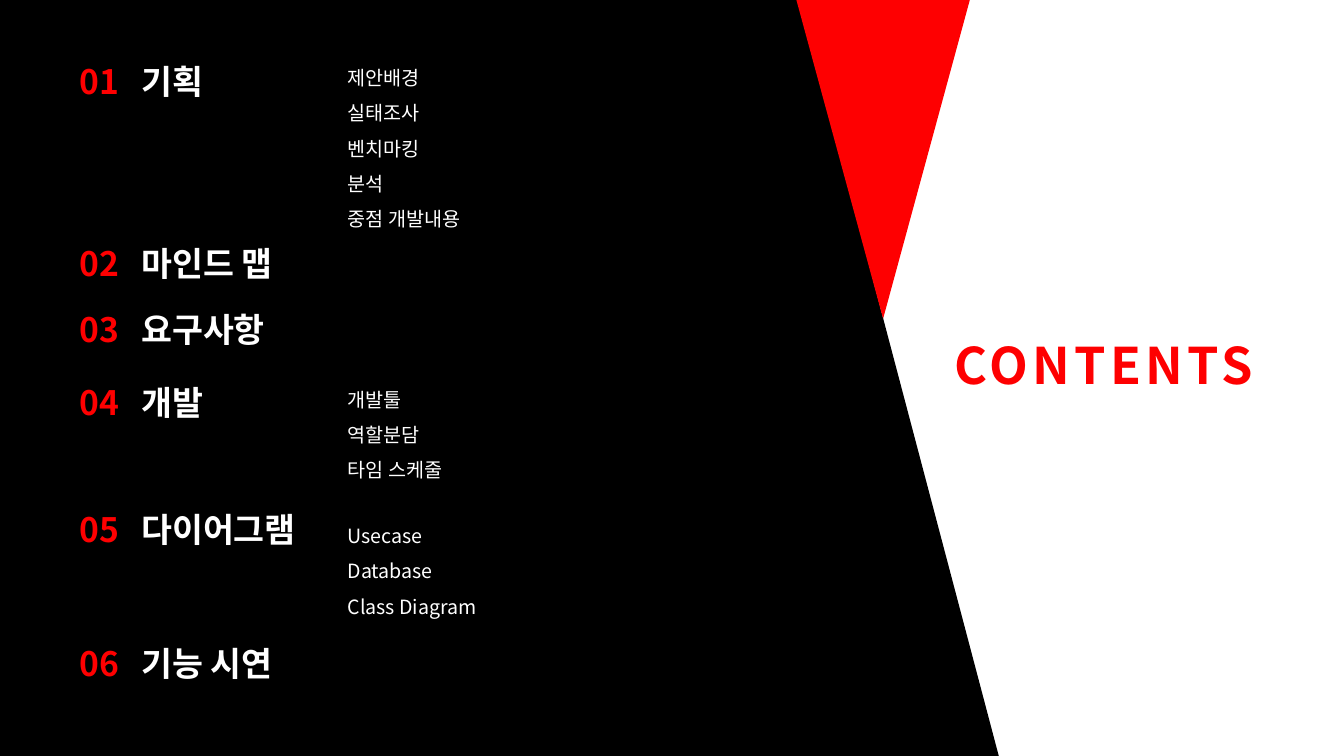
from dataclasses import dataclass
from typing import Any

from lxml.etree import SubElement
from pptx import Presentation
from pptx.dml.color import RGBColor
from pptx.enum.shapes import MSO_SHAPE
from pptx.enum.text import MSO_ANCHOR, MSO_AUTO_SIZE, PP_ALIGN
from pptx.oxml.ns import qn
from pptx.util import Cm, Pt


@dataclass(frozen=True)
class Theme:
    font: str = "Noto Sans CJK KR"
    black: RGBColor = RGBColor(0, 0, 0)
    white: RGBColor = RGBColor(255, 255, 255)
    red: RGBColor = RGBColor(0xFE, 0, 0x01)
    title_size: int = 36
    chapter_size: int = 24
    topic_size: int = 14


@dataclass(frozen=True)
class Chapter:
    name: str
    top: float
    width: float = 9.7


@dataclass(frozen=True)
class TopicList:
    topics: tuple[str, ...]
    top: float
    width: float


THEME = Theme()
SLIDE_WIDTH, SLIDE_HEIGHT = 33.87, 19.05
PANEL_WIDTH = 25.17
CHAPTER_LEFT, TOPIC_LEFT = 1.75, 8.51
NAME_TAB = 1.56

CHAPTERS = (
    Chapter("기획", 1.4),
    Chapter("마인드 맵", 6.0),
    Chapter("요구사항", 7.65),
    Chapter("개발", 9.5),
    Chapter("다이어그램", 12.7, 6.15),
    Chapter("기능 시연", 16.08, 6.15),
)
TOPIC_LISTS = (
    TopicList(("제안배경", "실태조사", "벤치마킹", "분석", "중점 개발내용"), 1.24, 8.08),
    TopicList(("개발툴", "역할분담", "타임 스케줄"), 9.35, 6.48),
    TopicList(("Usecase", "Database", "Class Diagram"), 12.78, 4.85),
)


def apply_format(target: Any, values: dict[str, Any]) -> None:
    for attribute, value in values.items():
        setattr(target, attribute, value)


def place(shape: Any, left: float, top: float, width: float, height: float) -> None:
    apply_format(shape, {"left": Cm(left), "top": Cm(top), "width": Cm(width), "height": Cm(height)})


def format_frame(frame: Any) -> None:
    apply_format(frame, {
        "word_wrap": True,
        "auto_size": MSO_AUTO_SIZE.SHAPE_TO_FIT_TEXT,
        "vertical_anchor": MSO_ANCHOR.TOP,
    })


def add_run(paragraph: Any, text: str, size: int, color: RGBColor, bold: bool = False) -> Any:
    run = paragraph.add_run()
    run.text = text
    apply_format(run.font, {"size": Pt(size), "bold": bold, "name": THEME.font})
    run.font.color.rgb = color
    properties = run._r.get_or_add_rPr()
    SubElement(properties, qn("a:ea"), typeface=THEME.font)
    return properties


def add_text_frame(slide: Any, left: float, top: float, width: float, height: float) -> Any:
    frame = slide.shapes.add_textbox(Cm(left), Cm(top), Cm(width), Cm(height)).text_frame
    format_frame(frame)
    return frame


def add_panel(slide: Any, kind: MSO_SHAPE, left: float, top: float, width: float,
              height: float, rotation: int, color: RGBColor) -> None:
    panel = slide.shapes.add_shape(kind, Cm(left), Cm(top), Cm(width), Cm(height))
    panel.rotation = rotation
    panel.shadow.inherit = False
    panel.fill.solid()
    panel.fill.fore_color.rgb = color
    panel.line.fill.background()


def add_title(slide: Any) -> None:
    title = slide.shapes.title
    place(title, 23.8, 8.28, 9.7, 1.8)
    format_frame(title.text_frame)
    heading = title.text_frame.paragraphs[0]
    heading.alignment = PP_ALIGN.LEFT
    add_run(heading, "CONTENTS", THEME.title_size, THEME.red, True).set("spc", "300")


def add_chapter(slide: Any, number: int, chapter: Chapter) -> None:
    frame = add_text_frame(slide, CHAPTER_LEFT, chapter.top, chapter.width, 1.28)
    entry = frame.paragraphs[0]
    tabs = SubElement(entry._p.get_or_add_pPr(), qn("a:tabLst"))
    SubElement(tabs, qn("a:tab"), pos=str(int(Cm(NAME_TAB))), algn="l")
    add_run(entry, f"{number:02d}\t", THEME.chapter_size, THEME.red, True)
    add_run(entry, chapter.name, THEME.chapter_size, THEME.white, True)


def add_topics(slide: Any, topic_list: TopicList) -> None:
    height = 0.9 * len(topic_list.topics) + 0.17
    frame = add_text_frame(slide, TOPIC_LEFT, topic_list.top, topic_list.width, height)
    for index, topic in enumerate(topic_list.topics):
        entry = frame.add_paragraph() if index else frame.paragraphs[0]
        entry.line_spacing = 1.5
        add_run(entry, topic, THEME.topic_size, THEME.white)


def main() -> None:
    presentation = Presentation()
    apply_format(presentation, {"slide_width": Cm(SLIDE_WIDTH), "slide_height": Cm(SLIDE_HEIGHT)})
    slide = presentation.slides.add_slide(presentation.slide_layouts[5])
    slide.background.fill.solid()
    slide.background.fill.fore_color.rgb = THEME.white

    overhang = (PANEL_WIDTH - SLIDE_HEIGHT) / 2
    add_panel(slide, MSO_SHAPE.FLOWCHART_MANUAL_INPUT, overhang, -overhang,
              SLIDE_HEIGHT, PANEL_WIDTH, 90, THEME.black)
    add_panel(slide, MSO_SHAPE.ISOSCELES_TRIANGLE, 20.07, 0, 4.37, 8.03, 180, THEME.red)
    add_title(slide)
    for number, chapter in enumerate(CHAPTERS, 1):
        add_chapter(slide, number, chapter)
    for topic_list in TOPIC_LISTS:
        add_topics(slide, topic_list)
    presentation.save("out.pptx")


if __name__ == "__main__":
    main()
